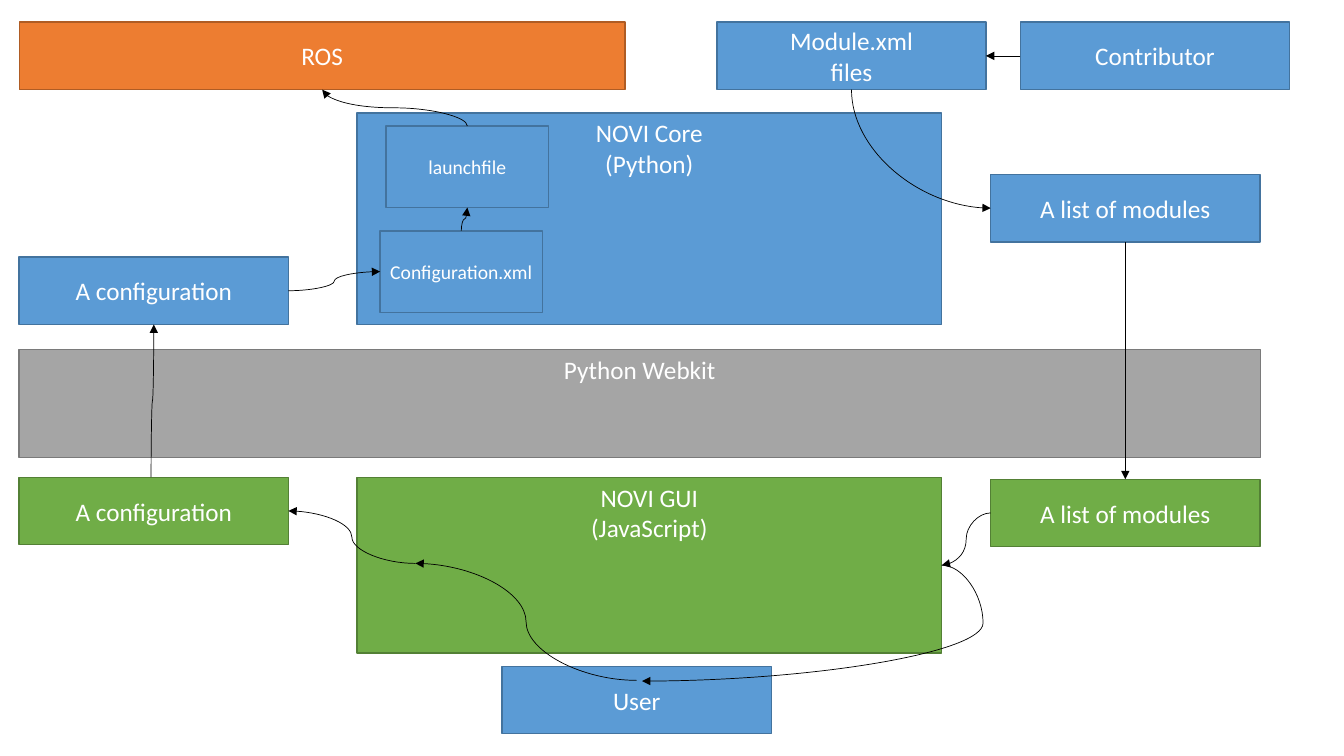
from dataclasses import dataclass

import lxml.etree
import pptx
import pptx.dml.color
import pptx.enum.shapes
import pptx.enum.text
import pptx.oxml.ns
import pptx.util


@dataclass(frozen=True)
class Theme:
    font: str = "Calibri"
    text: str = "FFFFFF"
    arrow: str = "000000"
    blue: tuple = ("5B9BD5", "43739E")
    green: tuple = ("70AD47", "538035")
    gray: tuple = ("A5A5A5", "7A7A7A")
    orange: tuple = ("ED7D31", "AF5C24")
    label_size: int = 18
    small_size: int = 14
    border: float = 1
    arrow_width: float = 0.5


@dataclass(frozen=True)
class Box:
    left: float
    top: float
    width: float
    height: float

    def area(self, left, top, width, height):
        return Box(
            self.left + self.width * left / 100,
            self.top + self.height * top / 100,
            self.width * width / 100,
            self.height * height / 100,
        )

    def point(self, across, down):
        return self.left + self.width * across, self.top + self.height * down


THEME = Theme()
PAGE = Box(0, 0, 13.33, 7.5)
LEFT, RIGHT, TOP, BOTTOM = (0, 0.5), (1, 0.5), (0.5, 0), (0.5, 1)


def color(value):
    return pptx.dml.color.RGBColor.from_string(value)


def add_block(slide, box, lines, palette, size=THEME.label_size, at_top=False):
    inches = pptx.util.Inches
    shape = slide.shapes.add_shape(
        pptx.enum.shapes.MSO_SHAPE.RECTANGLE,
        inches(box.left), inches(box.top), inches(box.width), inches(box.height),
    )
    shape.shadow.inherit = False
    fill, border = palette
    shape.fill.solid()
    shape.fill.fore_color.rgb = color(fill)
    shape.line.color.rgb = color(border)
    shape.line.width = pptx.util.Pt(THEME.border)
    frame = shape.text_frame
    frame.word_wrap = True
    frame.margin_left = frame.margin_right = inches(0.05)
    anchors = pptx.enum.text.MSO_ANCHOR
    frame.vertical_anchor = anchors.TOP if at_top else anchors.MIDDLE
    frame.text = "\n".join(lines)
    for paragraph in frame.paragraphs:
        paragraph.alignment = pptx.enum.text.PP_ALIGN.CENTER
        paragraph.font.name = THEME.font
        paragraph.font.size = pptx.util.Pt(size)
        paragraph.font.color.rgb = color(THEME.text)
    return box


def add_arrow(slide, start, end, vertical=False, quarter=False, bend=None):
    (x1, y1), (x2, y2) = start, end
    if vertical:
        middle_x, middle_y = (x1 + x2) / 2, (y1 + y2) / 2
        half_x, half_y = (y2 - y1) / 2, (x1 - x2) / 2
        x1, y1 = middle_x - half_x, middle_y - half_y
        x2, y2 = middle_x + half_x, middle_y + half_y
    connector = slide.shapes.add_connector(
        pptx.enum.shapes.MSO_CONNECTOR.CURVE,
        *(pptx.util.Inches(value) for value in (x1, y1, x2, y2)),
    )
    connector.line.color.rgb = color(THEME.arrow)
    connector.line.width = pptx.util.Pt(THEME.arrow_width)
    name = pptx.oxml.ns.qn
    properties = connector._element.spPr
    if vertical:
        properties.find(name("a:xfrm")).set("rot", "5400000")
    geometry = properties.find(name("a:prstGeom"))
    if quarter:
        geometry.set("prst", "curvedConnector2")
    if bend is not None:
        guides = geometry.find(name("a:avLst"))
        lxml.etree.SubElement(guides, name("a:gd"), name="adj1", fmla=f"val {bend}")
    line = properties.find(name("a:ln"))
    lxml.etree.SubElement(line, name("a:tailEnd"), type="triangle")
    lxml.etree.SubElement(properties, name("a:effectLst"))


def add_sources(slide, box):
    ros = add_block(slide, box.area(0, 0, 47.7, 100), ["ROS"], THEME.orange)
    files = add_block(
        slide, box.area(54.92, 0, 21.19, 100), ["Module.xml", "files"], THEME.blue
    )
    contributor = add_block(
        slide, box.area(78.81, 0, 21.19, 100), ["Contributor"], THEME.blue
    )
    add_arrow(slide, contributor.point(*LEFT), files.point(*RIGHT))
    return ros, files


def add_exchange(slide, box, title, palette, rows, height):
    configuration_top, modules_top = rows
    panel = add_block(
        slide, box.area(27.21, 0, 47.12, 100), title, palette, at_top=True
    )
    configuration = add_block(
        slide, box.area(0, configuration_top, 21.69, height),
        ["A configuration"], palette,
    )
    modules = add_block(
        slide, box.area(78.27, modules_top, 21.69, height),
        ["A list of modules"], palette,
    )
    return configuration, panel, modules


def add_launch_files(slide, box):
    settings = add_block(
        slide, box.area(3.97, 55.71, 27.76, 38.57),
        ["Configuration.xml"], THEME.blue, THEME.small_size,
    )
    launch = add_block(
        slide, box.area(5, 6.19, 27.76, 38.57),
        ["launchfile"], THEME.blue, THEME.small_size,
    )
    add_arrow(slide, settings.point(*TOP), launch.point(*BOTTOM), vertical=True)
    return settings, launch


def add_architecture(slide, box):
    ros, files = add_sources(slide, box.area(1.43, 2.93, 94.52, 8.93))
    core_configuration, core, core_modules = add_exchange(
        slide, box.area(1.43, 14.93, 92.35, 28),
        ["NOVI Core", "(Python)"], THEME.blue, (68.1, 29.05), 31.9,
    )
    settings, launch = add_launch_files(slide, core)
    add_block(
        slide, box.area(1.43, 46.27, 92.35, 14.27),
        ["Python Webkit"], THEME.gray, at_top=True,
    )
    gui_configuration, gui, gui_modules = add_exchange(
        slide, box.area(1.43, 63.13, 92.35, 23.27),
        ["NOVI GUI", "(JavaScript)"], THEME.green, (0, 1.14), 38.29,
    )
    user = add_block(slide, box.area(37.36, 88.13, 20.03, 8.93), ["User"], THEME.blue)

    gui_entry = gui.point(0.1, 0.49)
    add_arrow(slide, files.point(*BOTTOM), core_modules.point(*LEFT), True, True)
    add_arrow(slide, core_modules.point(*BOTTOM), gui_modules.point(*TOP), True)
    add_arrow(slide, gui_modules.point(*LEFT), gui.point(*RIGHT))
    add_arrow(slide, gui.point(*RIGHT), user.point(0.52, 0.22), bend=-13800)
    add_arrow(slide, user.point(0.5, 0.21), gui_entry)
    add_arrow(slide, gui_entry, gui_configuration.point(*RIGHT))
    add_arrow(
        slide, gui_configuration.point(0.49, 0), core_configuration.point(*BOTTOM), True
    )
    add_arrow(slide, core_configuration.point(*RIGHT), settings.point(*LEFT))
    add_arrow(slide, launch.point(*TOP), ros.point(*BOTTOM), True)


def main():
    presentation = pptx.Presentation()
    presentation.slide_width = pptx.util.Inches(PAGE.width)
    presentation.slide_height = pptx.util.Inches(PAGE.height)
    slide = presentation.slides.add_slide(presentation.slide_layouts[6])
    add_architecture(slide, PAGE)
    presentation.save("out.pptx")


if __name__ == "__main__":
    main()
